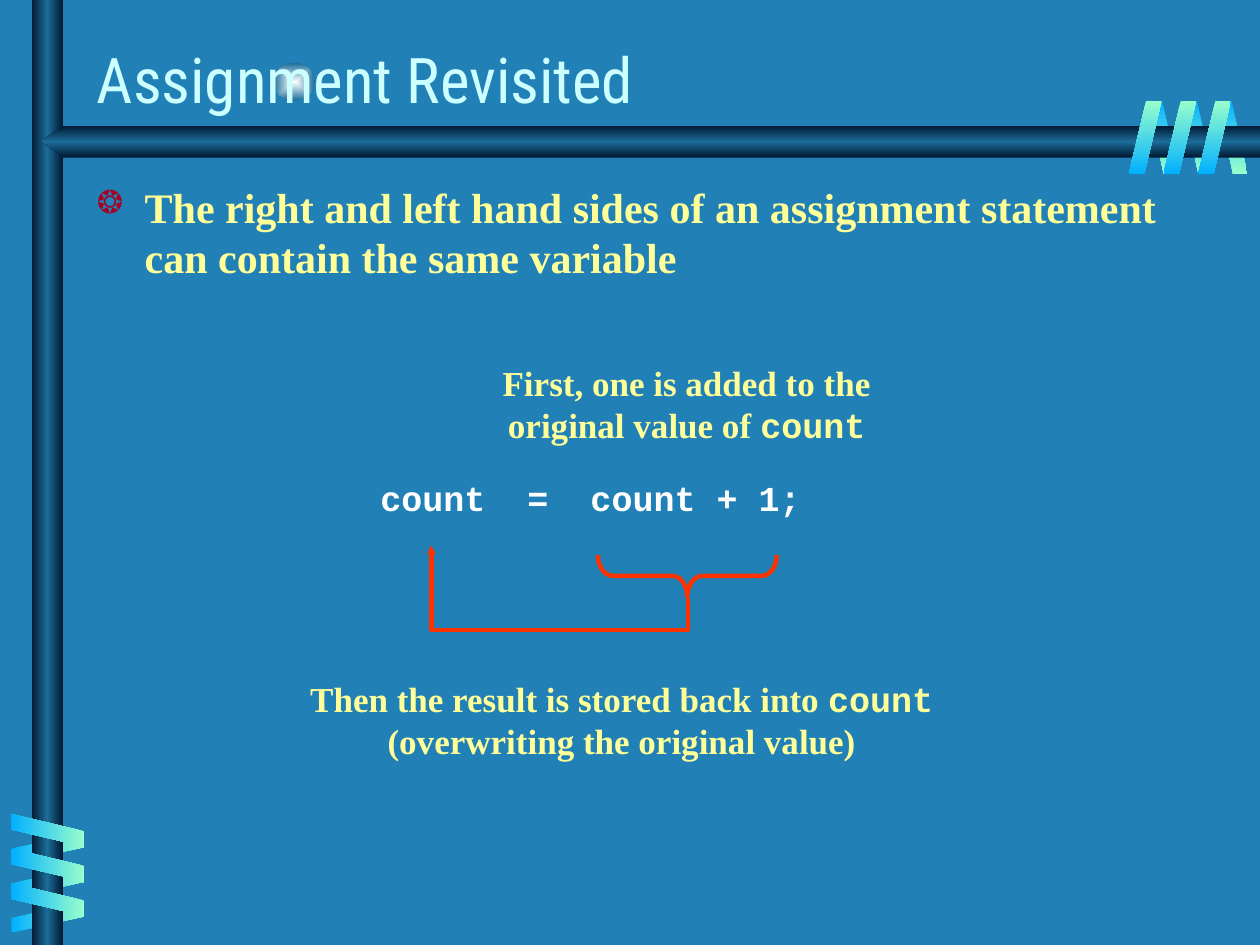
"""Build the slide on assigning a variable back to itself."""
import pptx
import pptx.dml.color
import pptx.enum.shapes
import pptx.enum.text
import pptx.oxml
import pptx.oxml.ns
import pptx.util

Inches = pptx.util.Inches
Pt = pptx.util.Pt
RGBColor = pptx.dml.color.RGBColor
SHAPE = pptx.enum.shapes.MSO_SHAPE
CENTER = pptx.enum.text.PP_ALIGN.CENTER
LEFT = pptx.enum.text.PP_ALIGN.LEFT

BACKGROUND = RGBColor(0x21, 0x81, 0xB7)
TITLE_COLOR = RGBColor(0xCC, 0xFF, 0xFF)
BODY_COLOR = RGBColor(0xFF, 0xFF, 0x99)
CODE_COLOR = RGBColor(0xFF, 0xFF, 0xFF)
BULLET_COLOR = RGBColor(0xA5, 0x00, 0x21)
ARROW_COLOR = RGBColor(0xFF, 0x33, 0x00)
SKY = RGBColor(0x01, 0xB0, 0xFF)
MINT = RGBColor(0x99, 0xFF, 0xCC)
NAVY = RGBColor(0x00, 0x19, 0x32)
STEEL = RGBColor(0x1C, 0x6D, 0x9A)
GLOW = RGBColor(0xFE, 0xFF, 0xFF)

SERIF, MONO, HEADING = "Times New Roman", "Courier New", "Roboto Condensed"

TITLE = [[("Assignment Revisited", HEADING)]]
POINT = [[("The right and left hand sides of an assignment statement "
           "can contain the same variable", SERIF)]]
FIRST_STEP = [[("First, one is added to the", SERIF)],
              [("original value of ", SERIF), ("count", MONO)]]
SECOND_STEP = [[("Then the result is stored back into ", SERIF), ("count", MONO)],
               [("(overwriting the original value)", SERIF)]]
STATEMENT = [[("count  =  count + 1;", MONO)]]

BAR_STOPS = [(0, NAVY), (50, STEEL), (100, NAVY)]
REAR_STOPS = [(0, SKY), (100, MINT)]
FRONT_STOPS = [(0, MINT), (100, SKY)]
COIL_STEP = 0.275
COIL_TURNS = 3
REAR_COILS = [((9.11, 0.8), (COIL_STEP, 0), 180, 90),
              ((0.26, 6.44), (0, COIL_STEP), 90, 180)]
FRONT_COILS = [((0.25, 6.3), (0, COIL_STEP), 270, 180),
               ((8.96, 0.8), (COIL_STEP, 0), 0, 90)]


def paint_gradient(shape, stops, direction):
    shape.shadow.inherit = False
    shape.line.fill.background()
    shape.fill.solid()
    properties = shape._element.spPr
    colors = "".join(f'<a:gs pos="{place * 1000}"><a:srgbClr val="{color}"/></a:gs>'
                     for place, color in stops)
    gradient = pptx.oxml.parse_xml(
        f'<a:gradFill {pptx.oxml.ns.nsdecls("a")} rotWithShape="0">'
        f'<a:gsLst>{colors}</a:gsLst>{direction}</a:gradFill>')
    properties.replace(properties.find(pptx.oxml.ns.qn("a:solidFill")), gradient)


def linear(angle):
    return f'<a:lin ang="{angle * 60000}" scaled="1"/>'


def add_preset(slide, preset, left, top, width, height):
    return slide.shapes.add_shape(
        preset, Inches(left), Inches(top), Inches(width), Inches(height))


def add_coils(slide, coils, width, stops, mirrored):
    for (left, top), (across, down), rotation, angle in coils:
        for turn in range(COIL_TURNS):
            band = add_preset(slide, SHAPE.PARALLELOGRAM,
                              left + turn * across, top + turn * down, width, 0.58)
            band.adjustments[0] = 0.53
            band.rotation = rotation
            if mirrored:
                band._element.spPr.xfrm.set("flipH", "1")
            paint_gradient(band, stops, linear(angle))


def add_decoration(slide):
    glow = add_preset(slide, SHAPE.OVAL, 2.17, 0.5, 0.33, 0.3)
    paint_gradient(glow, [(0, GLOW), (100, STEEL)],
                   '<a:path path="rect"><a:fillToRect l="50000" t="50000" '
                   'r="50000" b="50000"/></a:path>')
    add_coils(slide, REAR_COILS, 0.24, REAR_STOPS, True)
    post = add_preset(slide, SHAPE.RECTANGLE, 0.25, 0, 0.25, 7.5)
    paint_gradient(post, BAR_STOPS, linear(180))
    outline = slide.shapes.build_freeform(Inches(10), Inches(1))
    outline.add_line_segments(
        [(Inches(x), Inches(y)) for x, y in
         [(0.5, 1), (0.33, 1.12), (0.5, 1.25), (10, 1.25)]], close=True)
    paint_gradient(outline.convert_to_shape(), BAR_STOPS, linear(90))
    add_coils(slide, FRONT_COILS, 0.26, FRONT_STOPS, False)


def add_words(slide, lines, box, size, color, align=LEFT, bold=True, wrap=False):
    words = slide.shapes.add_textbox(*map(Inches, box)).text_frame
    words.word_wrap = wrap
    for index, pieces in enumerate(lines):
        paragraph = words.add_paragraph() if index else words.paragraphs[0]
        paragraph.alignment = align
        paragraph.font.size = Pt(size)
        paragraph.font.bold = bold
        paragraph.font.color.rgb = color
        for text, face in pieces:
            run = paragraph.add_run()
            run.text = text
            run.font.name = face
    return words


def add_bullet(paragraph):
    properties = paragraph._p.get_or_add_pPr()
    properties.set("marL", str(Inches(0.38)))
    properties.set("indent", str(Inches(-0.38)))
    marks = [f'buClr {pptx.oxml.ns.nsdecls("a")}><a:srgbClr val="{BULLET_COLOR}"/></a:buClr',
             f'buSzPct {pptx.oxml.ns.nsdecls("a")} val="75000"/',
             f'buChar {pptx.oxml.ns.nsdecls("a")} char="❂"/']
    for place, mark in enumerate(marks):
        properties.insert(place, pptx.oxml.parse_xml(f"<a:{mark}>"))


def add_flow(slide):
    brace = add_preset(slide, SHAPE.LEFT_BRACE, 5.29, 3.86, 0.33, 1.42)
    brace.rotation = 270
    brace.adjustments[0] = 0.36
    brace.shadow.inherit = False
    brace.fill.background()
    arrow = slide.shapes.add_connector(
        pptx.enum.shapes.MSO_CONNECTOR.ELBOW,
        Inches(4.23), Inches(3.52), Inches(4.65), Inches(5.56))
    for part in (brace, arrow):
        part.line.color.rgb = ARROW_COLOR
        part.line.width = Pt(2.5)
    properties = arrow._element.spPr
    properties.xfrm.set("rot", str(270 * 60000))
    properties.xfrm.set("flipV", "1")
    route = pptx.oxml.parse_xml(
        f'<a:prstGeom {pptx.oxml.ns.nsdecls("a")} prst="bentConnector4"><a:avLst>'
        '<a:gd name="adj1" fmla="val -60000"/><a:gd name="adj2" fmla="val 99800"/>'
        '</a:avLst></a:prstGeom>')
    properties.replace(properties.find(pptx.oxml.ns.qn("a:prstGeom")), route)
    head = pptx.oxml.parse_xml(
        f'<a:tailEnd {pptx.oxml.ns.nsdecls("a")} type="triangle" w="sm" len="sm"/>')
    properties.find(pptx.oxml.ns.qn("a:ln")).append(head)
    properties.append(pptx.oxml.parse_xml(f'<a:effectLst {pptx.oxml.ns.nsdecls("a")}/>'))


def main():
    deck = pptx.Presentation()
    deck.slide_width, deck.slide_height = Inches(10), Inches(7.5)
    slide = deck.slides.add_slide(deck.slide_layouts[6])
    slide.background.fill.solid()
    slide.background.fill.fore_color.rgb = BACKGROUND
    add_decoration(slide)
    title = add_words(slide, TITLE, (0.67, 0.22, 8.3, 0.75), 36, TITLE_COLOR,
                      bold=False, wrap=True)
    title.vertical_anchor = pptx.enum.text.MSO_ANCHOR.BOTTOM
    point = add_words(slide, POINT, (0.67, 1.39, 9.08, 1.2), 24, BODY_COLOR, wrap=True)
    add_bullet(point.paragraphs[0])
    add_words(slide, FIRST_STEP, (3.89, 2.82, 3.12, 0.77), 20, BODY_COLOR, CENTER)
    add_words(slide, SECOND_STEP, (2.36, 5.33, 5.15, 0.77), 20, BODY_COLOR, CENTER)
    add_words(slide, STATEMENT, (2.92, 3.73, 3.54, 0.44), 20, CODE_COLOR)
    add_flow(slide)
    deck.save("out.pptx")


if __name__ == "__main__":
    main()
